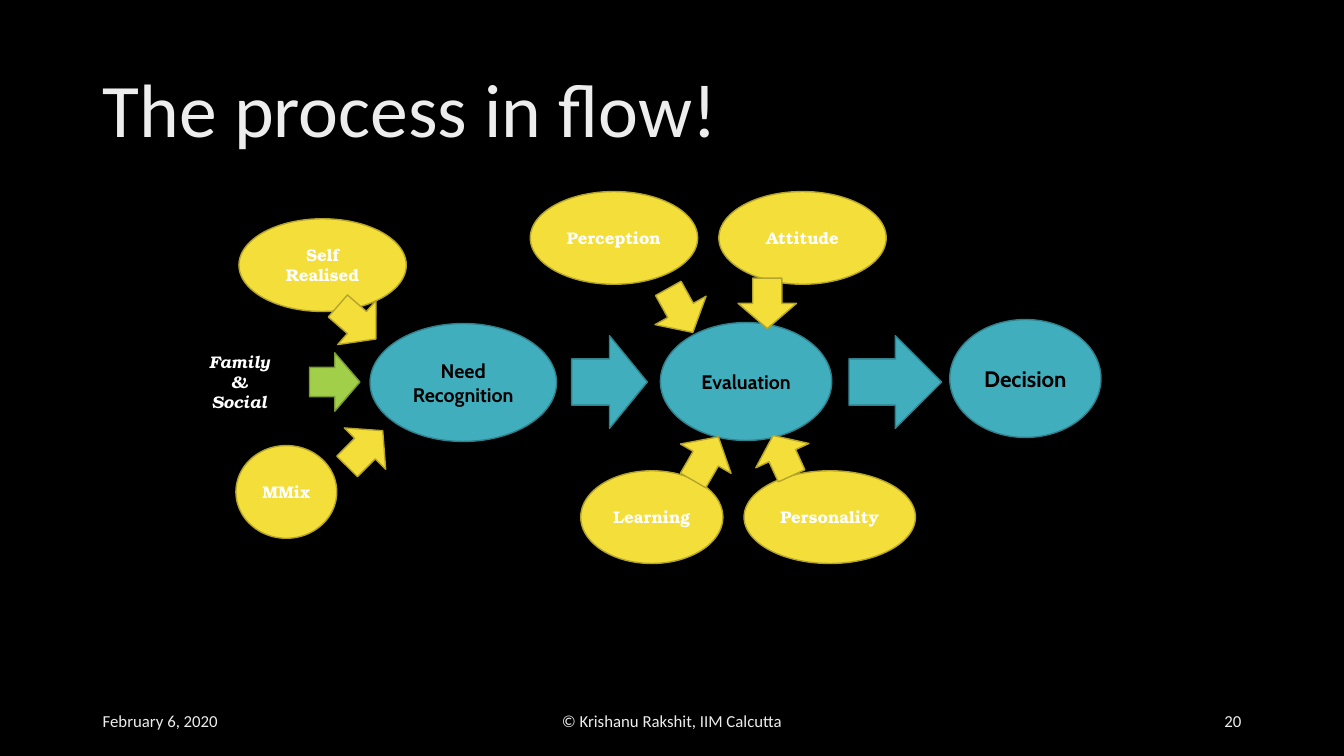
"""Build a slide showing the consumer decision process and its influences."""
from pptx import Presentation
from pptx.dml.color import RGBColor
from pptx.enum.shapes import MSO_SHAPE
from pptx.enum.text import MSO_ANCHOR, PP_ALIGN
from pptx.util import Inches, Pt

OVAL, ARROW = MSO_SHAPE.OVAL, MSO_SHAPE.RIGHT_ARROW
MIDDLE = MSO_ANCHOR.MIDDLE
LEFT, CENTER, RIGHT = PP_ALIGN.LEFT, PP_ALIGN.CENTER, PP_ALIGN.RIGHT

BLACK = RGBColor(0x00, 0x00, 0x00)
WHITE = RGBColor(0xFF, 0xFF, 0xFF)
PALE = RGBColor(0xED, 0xED, 0xED)
TEAL = (RGBColor(0x41, 0xAE, 0xBD), RGBColor(0x30, 0x81, 0x8C))
YELLOW = (RGBColor(0xF4, 0xDE, 0x3A), RGBColor(0xB5, 0xA4, 0x2B))
GREEN = (RGBColor(0xA2, 0xCF, 0x49), RGBColor(0x78, 0x99, 0x36))
DARK = (BLACK, BLACK)

SLIDE_W, SLIDE_H = 13.33, 7.5
MARGIN = 0.92
STAGE_H, INFLUENCE_H, SMALL_ARROW_H = 1.17, 0.92, 0.58
UPPER_ROW, FLOW_ROW, LOWER_ROW = 1.9, 3.33, 4.67

TITLE = "The process in flow!"
FOOTERS = [
    ("February 6, 2020", MARGIN, 3, LEFT),
    ("© Krishanu Rakshit, IIM Calcutta", (SLIDE_W - 4.5) / 2, 4.5, CENTER),
    ("20", SLIDE_W - MARGIN - 3, 3, RIGHT),
]
STAGES = [
    ("Need Recognition", 3.67, 3.21, 1.85, 14),
    ("Evaluation", 6.55, 3.2, 1.7, 14),
    ("Decision", 9.42, 3.17, 1.5, 16),
]
INFLUENCES = [
    ("Self Realised", 2.37, 2.17, 1.66, YELLOW),
    ("Family & Social", 1.72, FLOW_ROW, 1.31, DARK),
    ("MMix", 2.34, 4.42, 1, YELLOW),
    ("Perception", 5.26, UPPER_ROW, 1.66, YELLOW),
    ("Attitude", 7.13, UPPER_ROW, 1.66, YELLOW),
    ("Learning", 5.76, LOWER_ROW, 1.41, YELLOW),
    ("Personality", 7.38, LOWER_ROW, 1.7, YELLOW),
]
FLOW_ARROWS = [(5.67, 0.75), (8.42, 0.92)]
INFLUENCE_ARROWS = [
    (3.29, 2.91, 0.5, 40.9, YELLOW),
    (3.07, 3.5, 0.5, 0, GREEN),
    (3.37, 4.16, 0.5, 314.9, YELLOW),
    (6.5, 2.79, 0.5, 60.9, YELLOW),
    (7.36, 2.72, 0.5, 90, YELLOW),
    (6.75, 4.26, 0.5, 300.1, YELLOW),
    (7.54, 4.23, 0.44, 245.4, YELLOW),
]


def box(*lengths):
    """Convert inches to slide units."""
    return [Inches(n) for n in lengths]


def write(s, text, font, size, color, align=CENTER, bold=False, italic=False):
    """Put one formatted paragraph in a shape."""
    tf = s.text_frame
    tf.text = text
    tf.word_wrap = True
    tf.vertical_anchor = MIDDLE
    p = tf.paragraphs[0]
    p.alignment = align
    f = p.runs[0].font
    f.name, f.size, f.bold, f.italic = font, Pt(size), bold, italic
    f.color.rgb = color
    return p


def draw(slide, kind, place, colors, angle=0):
    """Add a filled and outlined shape."""
    s = slide.shapes.add_shape(kind, *box(*place))
    s.shadow.inherit = False
    s.fill.solid()
    s.fill.fore_color.rgb, s.line.color.rgb = colors
    s.line.width = Pt(1)
    s.rotation = angle
    return s


def main():
    prs = Presentation()
    prs.slide_width, prs.slide_height = box(SLIDE_W, SLIDE_H)
    slide = prs.slides.add_slide(prs.slide_layouts[5])
    slide.background.fill.solid()
    slide.background.fill.fore_color.rgb = BLACK

    title = slide.shapes.title
    title.left, title.top, title.width, title.height = box(
        MARGIN, 0.4, SLIDE_W - 2 * MARGIN, 1.45)
    write(title, TITLE, "Calibri", 54, PALE, LEFT).line_spacing = 0.9

    for text, left, width, align in FOOTERS:
        s = slide.shapes.add_textbox(*box(left, 6.95, width, 0.4))
        write(s, text, "Calibri", 12, PALE, align)

    for text, left, top, width, size in STAGES:
        s = draw(slide, OVAL, (left, top, width, STAGE_H), TEAL)
        write(s, text, "Cabin", size, BLACK, bold=True)

    for text, left, top, width, colors in INFLUENCES:
        s = draw(slide, OVAL, (left, top, width, INFLUENCE_H), colors)
        write(s, text, "TeX Gyre Bonum", 12, WHITE, bold=True,
              italic=colors == DARK)

    for left, width in FLOW_ARROWS:
        draw(slide, ARROW, (left, FLOW_ROW, width, INFLUENCE_H), TEAL)

    for left, top, width, angle, colors in INFLUENCE_ARROWS:
        draw(slide, ARROW, (left, top, width, SMALL_ARROW_H), colors, angle)

    prs.save("out.pptx")


if __name__ == "__main__":
    main()
